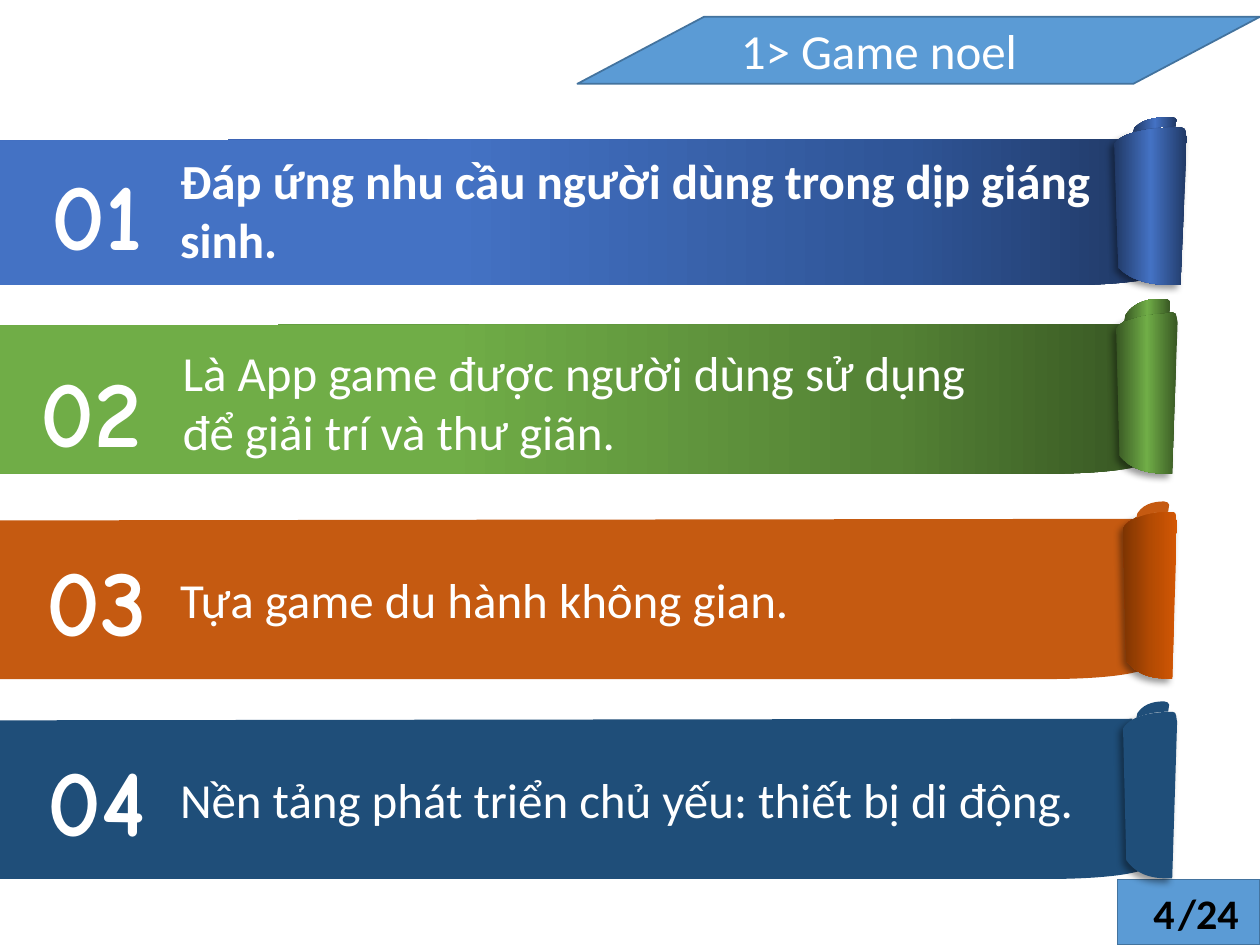
from pptx import Presentation
from pptx.dml.color import RGBColor as Rgb
from pptx.enum.shapes import MSO_SHAPE as Kind
from pptx.enum.text import MSO_ANCHOR as Anchor, PP_ALIGN as Align
from pptx.oxml import parse_xml
from pptx.oxml.ns import nsdecls, qn
from pptx.util import Cm, Pt

HUES = {
    "white": "FFFFFF", "black": "000000", "sky": "5B9BD5", "edge": "43739E",
    "navy": "203864", "royal": "2F5597", "blue": "4472C4",
    "forest": "385723", "leaf": "548235", "green": "70AD47",
    "orange": "C55A11", "flame": "D35704", "rust": "B24A03", "brown": "7D3402",
    "teal": "1F4E79",
}

# Outlines in fractions of their box: pairs are lines, sixes are curves
BAND = [(0, 0.01), (0, 1), (0.915, 1), (0.963, 1, 0.991, 0.97, 1, 0.94),
        (1, 0.63, 0.99, 0.32, 0.99, 0)]
ROLL = [(0.91, 1), (0.67, 1, 0.3, 1, 0.06, 0.89), (0, 0.1),
        (0.16, 0.01, 0.67, 0, 0.92, 0), (1, 0, 0.98, 0.04, 1, 0.06)]
CAP = [(0, 1), (0.03, 0.72), (0.26, 0, 0.7, 0, 0.85, 0),
       (0.92, 0, 1, 0.1, 1, 0.2), (0.97, 0.63), (0.7, 0.63, 0.35, 0.7, 0, 1)]

# Boxes are left, top, width, height in cm; fills are a hue or gradient stops
BLUES = [(0, "navy"), (50, "blue"), (100, "navy")]
GREENS = [(0, "forest"), (50, "green"), (100, "forest")]
ROWS = [
    {"num": "01", "num_at": (0.52, 3, 2.87, 2.57), "bold": True, "back": None,
     "text": "Đáp ứng nhu cầu người dùng trong dịp giáng sinh.",
     "text_at": (3.38, 2.9, 19.08, 2.64),
     "parts": [(BAND, (0, 2.8, 23.34, 2.95),
                [(0, "navy"), (22, "royal"), (61, "blue")]),
               (ROLL, (22.46, 2.57, 1.47, 3.18), BLUES),
               (CAP, (22.84, 2.36, 0.89, 0.3), BLUES)]},
    {"num": "02", "num_at": (0.41, 6.97, 2.87, 2.57), "bold": False, "back": None,
     "text": "Là App game được người dùng sử dụng để giải trí và thư giãn.",
     "text_at": (3.43, 6.77, 17.42, 2.64),
     "parts": [(BAND, (-0.05, 6.53, 23.09, 3.02),
                [(0, "forest"), (22, "leaf"), (61, "green")]),
               (ROLL, (22.5, 6.3, 1.24, 3.25), GREENS),
               (CAP, (22.66, 6.02, 0.94, 0.46), GREENS)]},
    {"num": "03", "num_at": (0.52, 11.16, 2.87, 1.8), "bold": False, "back": None,
     "text": "Tựa game du hành không gian.",
     "text_at": (3.38, 11.34, 19.41, 1.45),
     "parts": [(BAND, (-0.05, 10.46, 23.11, 3.23), "orange"),
               (ROLL, (22.64, 10.32, 1.09, 3.36),
                [(0, "flame"), (50, "rust"), (100, "brown")]),
               (CAP, (22.91, 10.11, 0.66, 0.33), "orange")]},
    {"num": "04", "num_at": (0.52, 14.81, 2.87, 2.57), "bold": False, "back": "teal",
     "text": "Nền tảng phát triển chủ yếu: thiết bị di động.",
     "text_at": (3.38, 15.38, 18.85, 1.45),
     "parts": [(BAND, (-0.05, 14.49, 23.11, 3.23), "teal"),
               (ROLL, (22.64, 14.35, 1.09, 3.36), "teal"),
               (CAP, (22.91, 14.14, 0.66, 0.33), "teal")]},
]


def hue(name):
    return Rgb.from_string(HUES[name])


def paint(shape, fill):
    """Fill with one hue, or with stops that run from right to left."""
    shape.shadow.inherit = False
    if isinstance(fill, str):
        shape.fill.solid()
        shape.fill.fore_color.rgb = hue(fill)
        return
    shape.fill.gradient()
    old = shape._element.spPr.find(qn("a:gradFill"))
    stops = "".join(f'<a:gs pos="{pos * 1000}"><a:srgbClr val="{HUES[name]}"/></a:gs>'
                    for pos, name in fill)
    new = parse_xml(f'<a:gradFill {nsdecls("a")} rotWithShape="1"><a:gsLst>{stops}'
                    '</a:gsLst><a:lin ang="10800000" scaled="0"/></a:gradFill>')
    old.getparent().replace(old, new)


def shade(shape):
    glow = shape._element.spPr.find(qn("a:effectLst"))
    glow.append(parse_xml(
        f'<a:outerShdw {nsdecls("a")} blurRad="{Pt(4)}" dist="{Pt(3)}" dir="8100000" '
        f'algn="tr" rotWithShape="0"><a:srgbClr val="{HUES["black"]}">'
        '<a:alpha val="40000"/></a:srgbClr></a:outerShdw>'))


def bend(shape, path):
    """Join the three lines that stand for each curve into one Bezier."""
    lines = iter(list(shape._element.iter(qn("a:lnTo"))))
    for seg in path[1:]:
        trio = [next(lines) for _ in range(len(seg) // 2)]
        if len(trio) == 1:
            continue
        curve = parse_xml(f'<a:cubicBezTo {nsdecls("a")}/>')
        trio[0].addprevious(curve)
        for line in trio:
            curve.append(line[0])
            line.getparent().remove(line)


def add_form(slide, path, box, fill):
    left, top, wide, high = box
    pts = [(Cm(left + x * wide), Cm(top + y * high))
           for seg in path for x, y in zip(seg[::2], seg[1::2])]
    pen = slide.shapes.build_freeform(*pts[0])
    # A closing line is left to the close mark
    pen.add_line_segments(pts[1:], close=True)
    shape = pen.convert_to_shape()
    bend(shape, path)
    paint(shape, fill)
    shape.line.fill.background()
    return shape


def add_plate(slide, kind, box, fill="sky", edge="edge"):
    shape = slide.shapes.add_shape(kind, *map(Cm, box))
    paint(shape, fill)
    if edge:
        shape.line.color.rgb = hue(edge)
        shape.line.width = Pt(1)
    else:
        shape.line.fill.background()
    return shape


def write(shape, text, tone="white", align=Align.LEFT, wrap=True, **look):
    frame = shape.text_frame
    frame.word_wrap = wrap
    frame.vertical_anchor = Anchor.MIDDLE
    para = frame.paragraphs[0]
    para.alignment = align
    run = para.add_run()
    run.text = text
    for key, val in {"name": "Calibri", "size": Pt(28), "bold": False, **look}.items():
        setattr(run.font, key, val)
    run.font.color.rgb = hue(tone)


def add_text(slide, box, text, back=None, **look):
    if back:
        shape = add_plate(slide, Kind.RECTANGLE, box, back, None)
    else:
        shape = slide.shapes.add_textbox(*map(Cm, box))
    write(shape, text, **look)


def add_head(slide):
    plate = add_plate(slide, Kind.PARALLELOGRAM, (11.64, 0.34, 13.76, 1.35))
    plate.adjustments[0] = 1.89
    title = slide.shapes.title
    spot = {"left": 14.68, "top": 0.29, "width": 9.12, "height": 1.45}
    for key, val in spot.items():
        setattr(title, key, Cm(val))
    write(title, "1> Game noel")
    plate._element.addnext(title._element)


def add_row(slide, row):
    for path, box, fill in row["parts"]:
        shape = add_form(slide, path, box, fill)
        if path is ROLL:
            shade(shape)
    add_text(slide, row["num_at"], row["num"], row["back"], align=Align.CENTER,
             wrap=False, name="Comic Neue", size=Pt(54), bold=True)
    add_text(slide, row["text_at"], row["text"], row["back"], bold=row["bold"])


def main():
    deck = Presentation()
    deck.slide_width, deck.slide_height = Cm(25.4), Cm(19.05)
    slide = deck.slides.add_slide(deck.slide_layouts[5])

    # Page counter plate and heading
    add_plate(slide, Kind.RECTANGLE, (22.53, 17.73, 2.87, 1.32))
    add_head(slide)

    # Ribbons
    for row in ROWS:
        add_row(slide, row)

    # Page counter
    page = {"tone": "black", "size": Pt(24), "bold": True}
    add_text(slide, (23.5, 17.88, 1.8, 1.02), "/24", **page)
    add_text(slide, (21.77, 17.78, 2.16, 1.24), "4", align=Align.RIGHT, **page)

    deck.save("out.pptx")


if __name__ == "__main__":
    main()
